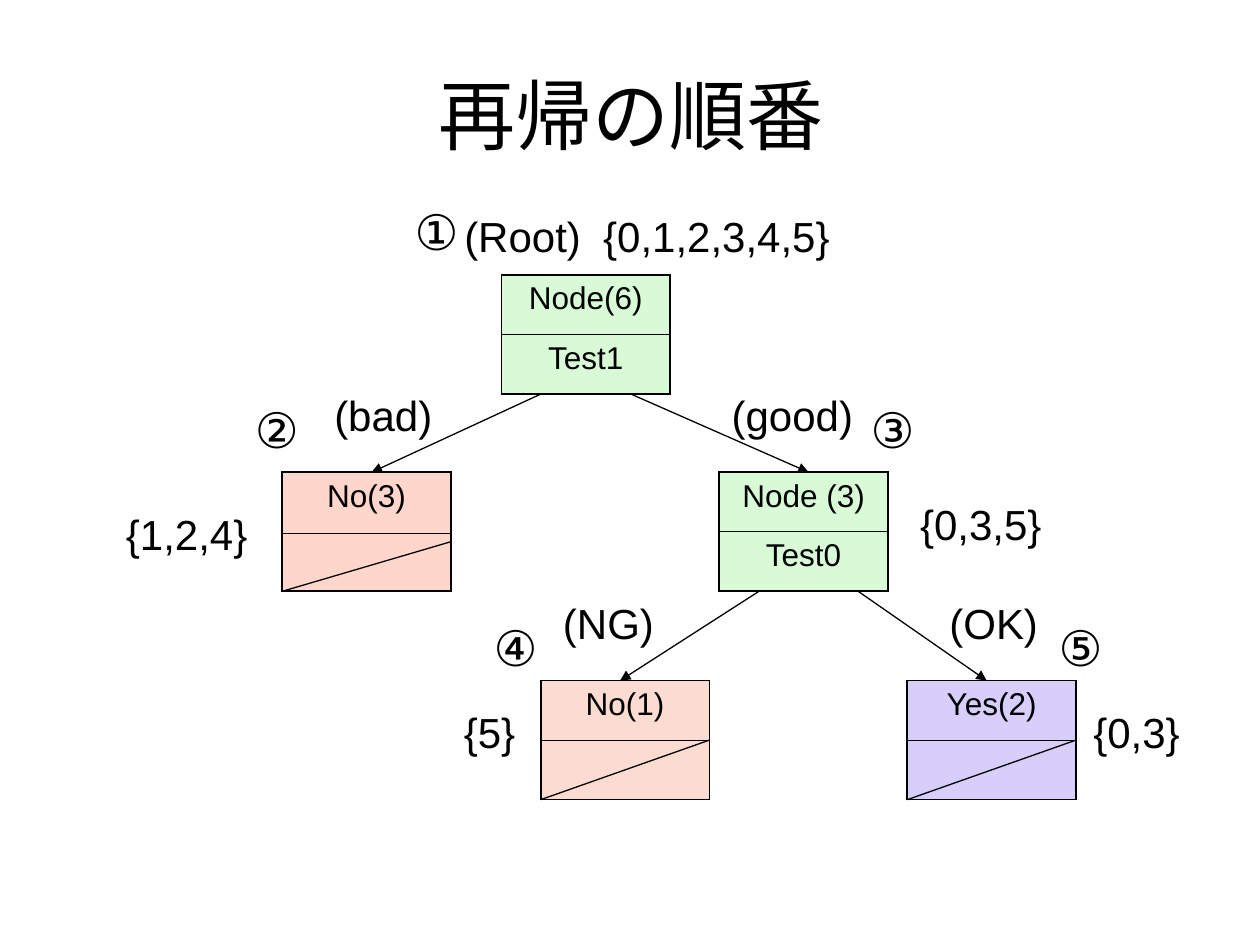
from dataclasses import dataclass

from lxml import etree
from pptx import Presentation
from pptx.dml.color import RGBColor
from pptx.enum.shapes import MSO_CONNECTOR
from pptx.enum.text import MSO_ANCHOR, PP_ALIGN
from pptx.oxml.ns import qn
from pptx.util import Cm, Pt

STRAIGHT = MSO_CONNECTOR.STRAIGHT
MIDDLE, TOP = MSO_ANCHOR.MIDDLE, MSO_ANCHOR.TOP
CENTER, LEFT = PP_ALIGN.CENTER, PP_ALIGN.LEFT


@dataclass(frozen=True)
class Theme:
    font: str = "Arial"
    ink: str = "000000"
    green: str = "44E937"
    red: str = "FF3300"
    orange: str = "F05314"
    violet: str = "390EF2"
    opacity: int = 20
    title_size: float = 44
    number_size: float = 28
    label_size: float = 24
    node_size: float = 18
    thin: float = 0.45
    line: float = 0.75
    frame: float = 1.08


@dataclass(frozen=True)
class Label:
    text: str
    dx: float
    dy: float
    width: float = 3.6


@dataclass(frozen=True)
class Node:
    left: float
    top: float
    color: str
    name: str
    test: str
    number: Label
    branch: Label
    members: Label
    top_row: float = 1.2
    diagonal_rise: float = 1.2


THEME = Theme()
NODE_WIDTH, NODE_HEIGHT = 3.4, 2.4

NODES = {
    "root": Node(10.11, 5.54, THEME.green, "Node(6)", "Test1",
                 Label("①", -2, -1.6), Label("(Root)", -1, -1.43),
                 Label("{0,1,2,3,4,5}", 1.8, -1.43, 5.8)),
    "bad": Node(5.69, 9.52, THEME.red, "No(3)", "",
                Label("②", -0.8, -1.6), Label("(bad)", 0.8, -1.8),
                Label("{1,2,4}", -3.4, 0.6), 1.24, 1),
    "good": Node(14.5, 9.52, THEME.green, "Node (3)", "Test0",
                 Label("③", 2.8, -1.6), Label("(good)", 0, -1.8),
                 Label("{0,3,5}", 3.8, 0.4)),
    "ng": Node(10.9, 13.72, THEME.orange, "No(1)", "",
               Label("④", -1.2, -1.4), Label("(NG)", 0.2, -1.8),
               Label("{5}", -1.8, 0.4)),
    "ok": Node(18.29, 13.72, THEME.violet, "Yes(2)", "",
               Label("⑤", 2.8, -1.4), Label("(OK)", 0.6, -1.8),
               Label("{0,3}", 3.5, 0.4)),
}

BRANCHES = [
    ("root", 0.8, "bad", 1.8),
    ("root", 2.6, "good", 1.8),
    ("good", 0.8, "ng", 1.6),
    ("good", 2.8, "ok", 1.6),
]


def style_text(text_frame, text, size, align=LEFT):
    text_frame.text = text
    paragraph = text_frame.paragraphs[0]
    paragraph.alignment = align
    for run in paragraph.runs:
        run.font.name = THEME.font
        run.font.size = Pt(size)
        run.font.bold = False
        run.font.color.rgb = RGBColor.from_string(THEME.ink)


def add_text(slide, box, text, size, align=LEFT, anchor=TOP):
    shape = slide.shapes.add_textbox(*map(Cm, box))
    shape.text_frame.word_wrap = True
    shape.text_frame.vertical_anchor = anchor
    style_text(shape.text_frame, text, size, align)


def add_line(slide, start, end, arrow=False):
    connector = slide.shapes.add_connector(STRAIGHT, *map(Cm, (*start, *end)))
    connector.line.color.rgb = RGBColor.from_string(THEME.ink)
    connector.line.width = Pt(THEME.line)
    if arrow:
        etree.SubElement(connector.line._get_or_add_ln(), qn("a:tailEnd"), type="triangle")
    etree.SubElement(connector._element.spPr, qn("a:effectLst"))


def style_cell(cell, color, top_width, bottom_width):
    cell.fill.solid()
    cell.fill.fore_color.rgb = RGBColor.from_string(color)
    properties = cell._tc.get_or_add_tcPr()
    fill_color = properties.find(f"{qn('a:solidFill')}/{qn('a:srgbClr')}")
    etree.SubElement(fill_color, qn("a:alpha"), val=str(THEME.opacity * 1000))
    widths = {"lnL": THEME.frame, "lnR": THEME.frame, "lnT": top_width, "lnB": bottom_width}
    for position, (side, width) in enumerate(widths.items()):
        border = etree.Element(qn(f"a:{side}"), w=str(Pt(width)))
        fill = etree.SubElement(border, qn("a:solidFill"))
        etree.SubElement(fill, qn("a:srgbClr"), val=THEME.ink)
        properties.insert(position, border)


def add_node(slide, node):
    box = (node.left, node.top, NODE_WIDTH, NODE_HEIGHT)
    table = slide.shapes.add_table(2, 1, *map(Cm, box)).table
    table.first_row = table.horz_banding = False
    table.rows[0].height = Cm(node.top_row)
    table.rows[1].height = Cm(NODE_HEIGHT - node.top_row)
    borders = [(THEME.frame, THEME.thin), (THEME.thin, THEME.frame)]
    for row, text in enumerate((node.name, node.test)):
        cell = table.cell(row, 0)
        style_cell(cell, node.color, *borders[row])
        if text:
            style_text(cell.text_frame, text, THEME.node_size, CENTER)
    if not node.test:
        bottom = node.top + NODE_HEIGHT
        add_line(slide, (node.left, bottom),
                 (node.left + NODE_WIDTH, bottom - node.diagonal_rise))


def add_labels(slide, node):
    for label in (node.branch, node.members):
        box = (node.left + label.dx, node.top + label.dy, label.width, 1.27)
        add_text(slide, box, label.text, THEME.label_size)
    number_box = (node.left + node.number.dx, node.top + node.number.dy, 1.6, 1.45)
    add_text(slide, number_box, node.number.text, THEME.number_size)


def add_tree(slide):
    for node in NODES.values():
        add_node(slide, node)
    for parent_key, start, child_key, end in BRANCHES:
        parent, child = NODES[parent_key], NODES[child_key]
        add_line(slide, (parent.left + start, parent.top + NODE_HEIGHT),
                 (child.left + end, child.top), arrow=True)
    for node in NODES.values():
        add_labels(slide, node)


def main():
    presentation = Presentation()
    presentation.slide_width, presentation.slide_height = Cm(25.4), Cm(19.05)
    slide = presentation.slides.add_slide(presentation.slide_layouts[6])
    add_text(slide, (1.3, 0.7, 22.86, 3.18), "再帰の順番", THEME.title_size, CENTER, MIDDLE)
    add_tree(slide)
    presentation.save("out.pptx")


if __name__ == "__main__":
    main()
